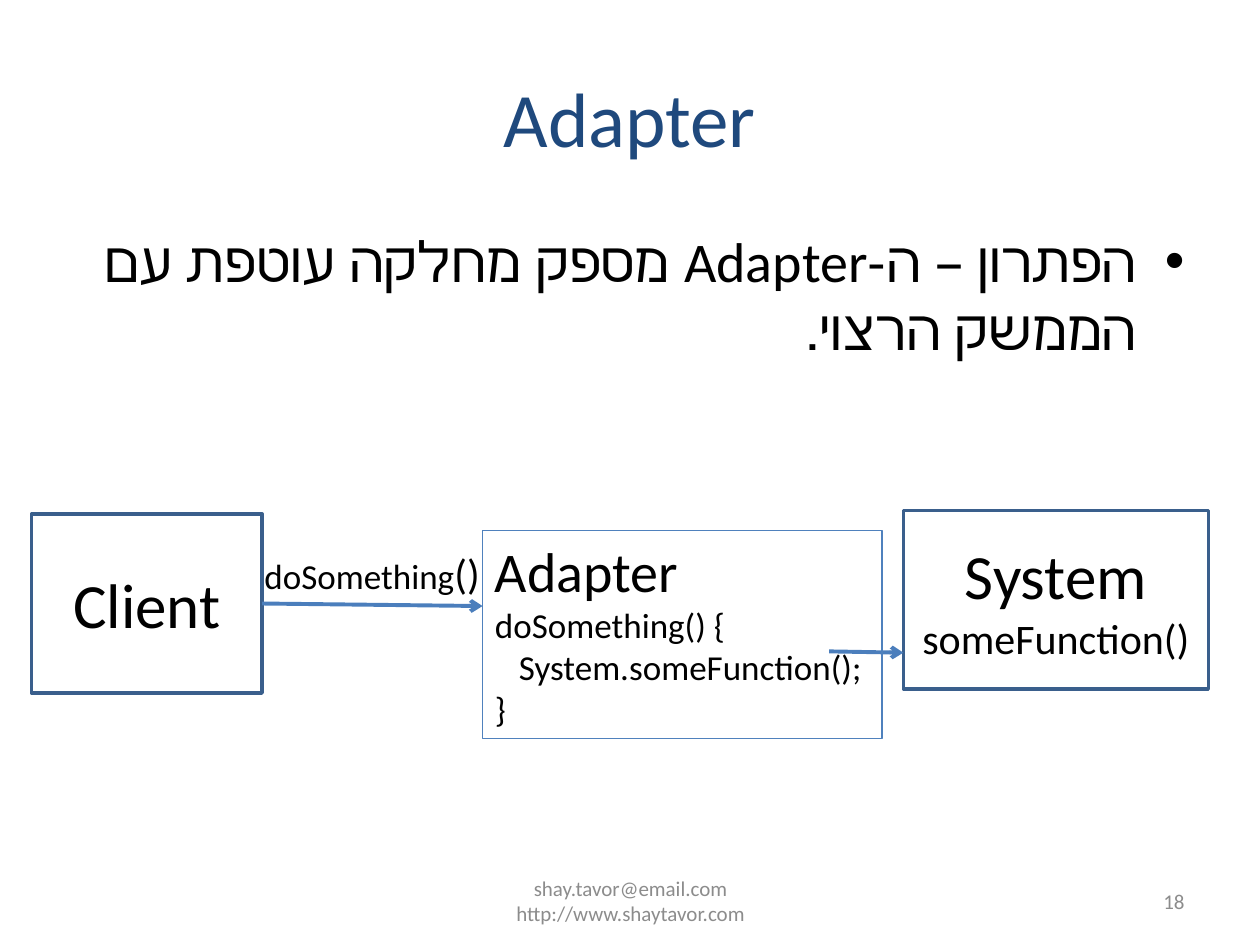
from lxml import etree
from pptx import Presentation
from pptx import util as u
from pptx.dml.color import RGBColor
from pptx.enum import shapes, text
from pptx.oxml.ns import qn

BLACK, NAVY, GREY = "000000", "1F497D", "8C8C8C"
BOX_LINE, THIN_LINE, ARROW = "3A5F8C", "4F81BD", "4B7EBC"
LEFT, CENTER, RIGHT = text.PP_ALIGN.LEFT, text.PP_ALIGN.CENTER, text.PP_ALIGN.RIGHT
TOP, MIDDLE = text.MSO_ANCHOR.TOP, text.MSO_ANCHOR.MIDDLE


def rgb(value):
    return RGBColor.from_string(value)


class SlideBuilder:
    """Holds the style and the current slide."""

    font = "Calibri"

    def __init__(self, slide):
        self.slide = slide

    def format(self, frame, sizes, color=BLACK, align=LEFT, anchor=TOP):
        """Format the paragraphs of a frame, one size for each."""
        frame.word_wrap = True
        frame.vertical_anchor = anchor
        for paragraph, size in zip(frame.paragraphs, sizes):
            paragraph.alignment = align
            for run in paragraph.runs:
                run.font.name = self.font
                run.font.size = u.Pt(size)
                run.font.color.rgb = rgb(color)

    def placeholder(self, index, box, words, size, **style):
        holder = self.slide.placeholders[index]
        holder.left, holder.top, holder.width, holder.height = map(u.Inches, box)
        holder.text_frame.text = words
        self.format(holder.text_frame, [size], **style)
        return holder

    def label(self, box, words, size, **style):
        area = self.slide.shapes.add_textbox(*map(u.Inches, box))
        area.text_frame.text = words
        self.format(area.text_frame, [size], **style)
        return area

    def box(self, box, lines, sizes, line=BOX_LINE, width=2, **style):
        rect = self.slide.shapes.add_shape(
            shapes.MSO_SHAPE.RECTANGLE, *map(u.Inches, box))
        rect.shadow.inherit = False
        rect.fill.background()
        rect.line.color.rgb = rgb(line)
        rect.line.width = u.Pt(width)
        rect.text_frame.text = "\n".join(lines)
        self.format(rect.text_frame, sizes, **style)
        return rect

    def arrow(self, start, end):
        link = self.slide.shapes.add_connector(
            shapes.MSO_CONNECTOR.STRAIGHT, *map(u.Inches, start + end))
        link.line.color.rgb = rgb(ARROW)
        link.line.width = u.Pt(2.25)
        etree.SubElement(link.line._get_or_add_ln(), qn("a:tailEnd"), type="arrow")
        etree.SubElement(link._element.spPr, qn("a:effectLst"))
        return link


def main():
    deck = Presentation()
    deck.slide_width, deck.slide_height = u.Inches(10), u.Inches(7.5)
    page = SlideBuilder(deck.slides.add_slide(deck.slide_layouts[1]))

    # Title and right-to-left bullet
    page.placeholder(0, (0.5, 0.3, 9, 1.25), "Adapter", 44,
                     color=NAVY, align=CENTER, anchor=MIDDLE)
    solution = page.placeholder(
        1, (0.5, 1.75, 9, 1.42),
        "הפתרון – ה-Adapter מספק מחלקה עוטפת עם הממשק הרצוי.", 32, align=RIGHT)
    solution.text_frame.paragraphs[0]._p.get_or_add_pPr().set("rtl", "1")

    # Footer and slide number
    page.label((3.42, 6.95, 3.17, 0.4),
               "shay.tavor@email.com http://www.shaytavor.com", 12,
               color=GREY, align=CENTER, anchor=MIDDLE)
    page.label((7.17, 6.95, 2.33, 0.4), "18", 12,
               color=GREY, align=RIGHT, anchor=MIDDLE)

    # Client and its call
    client = page.box((0.25, 4.08, 1.83, 1.42), ["Client"], [36],
                      align=CENTER, anchor=MIDDLE)
    request = page.arrow((2.08, 4.79), (3.83, 4.81))
    request.begin_connect(client, 3)
    call = page.label((2, 4.3, 1.92, 0.5), "doSomething", 20)
    brackets = call.text_frame.paragraphs[0].add_run()
    brackets.text = "()"
    brackets.font.name = page.font
    brackets.font.size = u.Pt(24)
    brackets.font.color.rgb = rgb(BLACK)

    # System and the delegated call
    page.box((7.17, 4.05, 2.42, 1.42), ["System", "someFunction()"], [36, 24],
             align=CENTER, anchor=MIDDLE)
    page.arrow((6.58, 5.17), (7.17, 5.18))

    # Adapter with its code, the inner line indented
    adapter = page.box(
        (3.83, 4.21, 3.17, 1.65),
        ["Adapter", "doSomething() {", "System.someFunction();", "}"],
        [32, 20, 20, 20], line=THIN_LINE, width=0.75)
    inner_line = adapter.text_frame.paragraphs[2]
    inner_line._p.get_or_add_pPr().set("marL", str(u.Inches(0.19)))

    deck.save("out.pptx")


if __name__ == "__main__":
    main()
